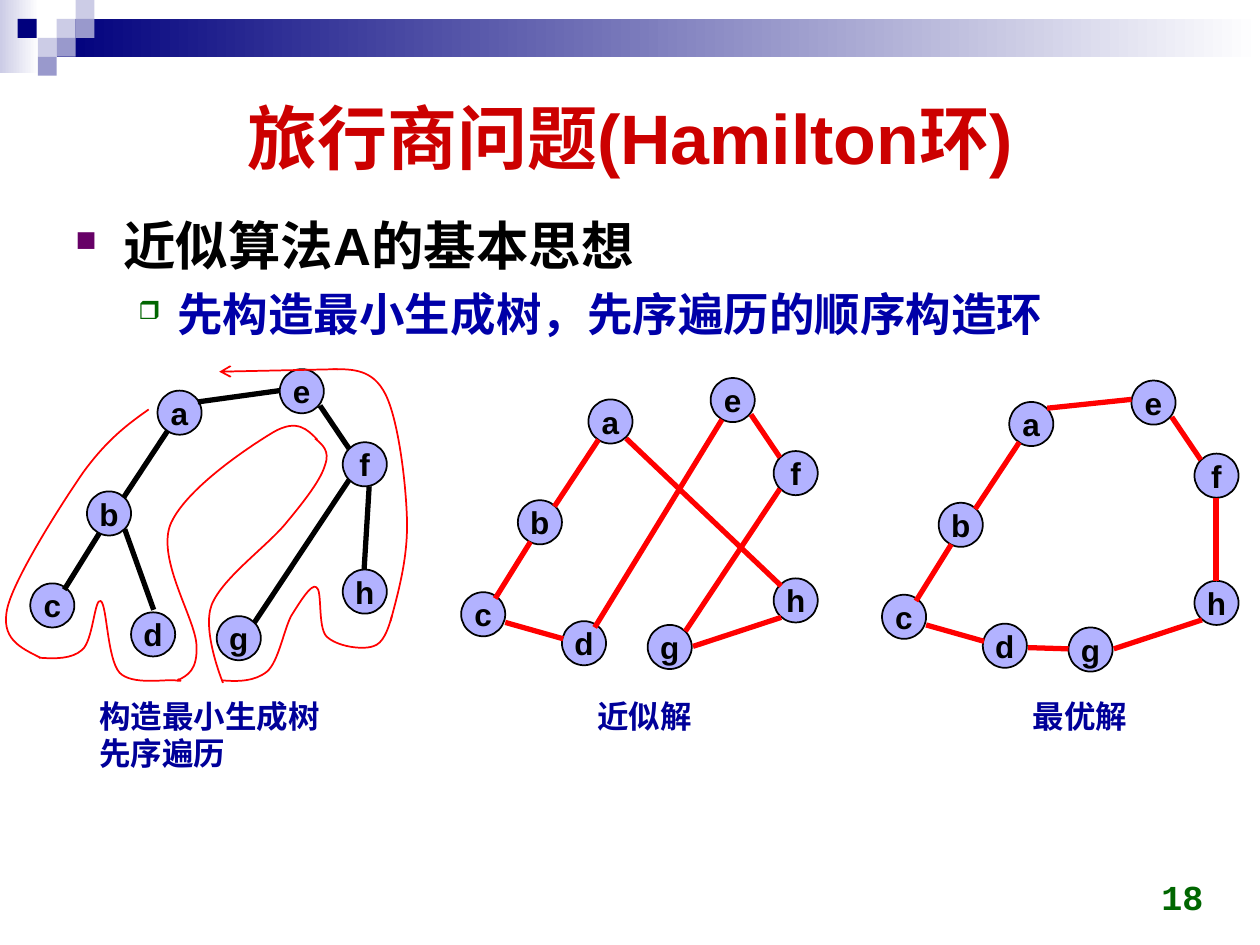
from lxml import etree
from pptx import Presentation
from pptx.dml.color import RGBColor
from pptx.enum.shapes import MSO_CONNECTOR, MSO_SHAPE
from pptx.enum.text import MSO_ANCHOR, MSO_AUTO_SIZE, PP_ALIGN
from pptx.oxml.ns import qn
from pptx.util import Inches, Pt

RECTANGLE, OVAL = MSO_SHAPE.RECTANGLE, MSO_SHAPE.OVAL
STRAIGHT = MSO_CONNECTOR.STRAIGHT
MIDDLE, BOTTOM = MSO_ANCHOR.MIDDLE, MSO_ANCHOR.BOTTOM
LEFT, CENTER, RIGHT = PP_ALIGN.LEFT, PP_ALIGN.CENTER, PP_ALIGN.RIGHT

COLORS = {
    "black": "000000", "white": "FFFFFF", "red": "FF0000", "title": "CC0000",
    "subpoint": "0000A8", "caption": "000099", "green": "006600",
    "purple": "660066", "node": "B2B2FF",
    "navy": "00007D", "mid": "9999CC", "pale": "CCCCE6",
}

# Header squares: left, top, colour
SQUARE = 0.15
HEADER_SQUARES = [
    (0.45, 0.15, "pale"), (0.6, 0, "pale"), (0.6, 0.15, "mid"),
    (0.3, 0.3, "pale"), (0.14, 0.15, "navy"), (0.45, 0.3, "mid"),
    (0.3, 0.45, "mid"),
]

# Node positions (left, top) and edge ends, in the coordinates of the first graph
NODE_SIZE = 0.35
NODES = {
    "a": (1.25, 3.1), "b": (0.69, 3.9), "c": (0.24, 4.63), "d": (1.04, 4.86),
    "e": (2.22, 2.93), "f": (2.72, 3.51), "g": (1.72, 4.89), "h": (2.72, 4.52),
}
EDGES = {
    "ab": (1.33, 3.42, 0.98, 3.95), "bc": (0.79, 4.23, 0.51, 4.68),
    "bd": (1.22, 4.84, 0.99, 4.2), "ae": (2.22, 3.1, 1.57, 3.19),
    "ef": (2.77, 3.56, 2.54, 3.22), "fg": (2.77, 3.81, 2.02, 4.94),
    "fh": (2.89, 4.52, 2.93, 3.86), "cd": (1.05, 5, 0.59, 4.87),
    "ah": (2.78, 4.58, 1.55, 3.41), "gh": (2.78, 4.83, 2.08, 5.06),
    "de": (2.31, 3.26, 1.3, 4.91), "dg": (1.72, 5.06, 1.4, 5.05),
    # The closed tour meets these nodes at slightly different points
    "ea": (2.22, 3.08, 1.55, 3.15), "hf": (2.89, 4.52, 2.89, 3.86),
}
TREE = ["ab", "bc", "bd", "ae", "ef", "fg", "fh"]
APPROXIMATE_TOUR = ["ab", "bc", "cd", "ah", "ef", "fg", "gh", "de"]
OPTIMAL_TOUR = ["ab", "bc", "cd", "hf", "ef", "ea", "gh", "dg"]

# Preorder walk: a start point, then three points for each cubic curve
WALK = [
    [(1.18, 3.25), (1.01, 3.37), (0.85, 3.49), (0.66, 3.75),
     (0.48, 4.01), (0.12, 4.58), (0.06, 4.82), (0, 5.07), (0.16, 5.14), (0.32, 5.22)],
    [(0.31, 5.22), (0.44, 5.23), (0.57, 5.23), (0.65, 5.16),
     (0.74, 5.09), (0.75, 4.74), (0.8, 4.77), (0.85, 4.8), (0.85, 5.23), (0.95, 5.34),
     (1.05, 5.44), (1.31, 5.39), (1.39, 5.4), (1.46, 5.41), (1.43, 5.4), (1.41, 5.39)],
    [(1.41, 5.4), (1.49, 5.36), (1.57, 5.32), (1.56, 5.12),
     (1.55, 4.91), (1.25, 4.45), (1.35, 4.17), (1.46, 3.89), (1.97, 3.55), (2.17, 3.43),
     (2.36, 3.32), (2.44, 3.41), (2.52, 3.49)],
    [(2.5, 3.48), (2.56, 3.53), (2.62, 3.58), (2.58, 3.69),
     (2.55, 3.8), (2.43, 3.96), (2.28, 4.14), (2.13, 4.33), (1.77, 4.58), (1.68, 4.8),
     (1.6, 5.01), (1.77, 5.42), (1.77, 5.42)],
    [(1.76, 5.4), (1.89, 5.41), (2.02, 5.41), (2.12, 5.33),
     (2.21, 5.25), (2.25, 5.01), (2.31, 4.89), (2.38, 4.78), (2.47, 4.63), (2.51, 4.66),
     (2.56, 4.68), (2.52, 4.97), (2.59, 5.05), (2.67, 5.13), (2.87, 5.16), (2.96, 5.13),
     (3.04, 5.11), (3.08, 5), (3.11, 4.89)],
    [(3.1, 4.93), (3.17, 4.67), (3.24, 4.41), (3.23, 4.11),
     (3.22, 3.81), (3.16, 3.33), (3.06, 3.13), (2.96, 2.93), (2.8, 2.93), (2.64, 2.93)],
]


def rgb(name):
    return RGBColor.from_string(COLORS[name])


def write(para, text, *, size, color, font="Arial", align=LEFT):
    para.alignment = align
    span = para.add_run()
    span.text = text
    span.font.name = font
    span.font.size = Pt(size)
    span.font.bold = True
    span.font.color.rgb = rgb(color)


def add_text_box(page, left, top, width, height, wrap=True):
    box = page.shapes.add_textbox(*map(Inches, (left, top, width, height)))
    box.text_frame.word_wrap = wrap
    return box.text_frame


def set_bullet(para, symbol, color, margin, indent):
    props = para._p.get_or_add_pPr()
    props.set("marL", str(Inches(margin)))
    props.set("indent", str(Inches(-indent)))
    bullet_color = etree.SubElement(props, qn("a:buClr"))
    etree.SubElement(bullet_color, qn("a:srgbClr"), val=COLORS[color])
    etree.SubElement(props, qn("a:buSzPct"), val="55000")
    etree.SubElement(props, qn("a:buChar"), char=symbol)


def add_shape(page, kind, left, top, width, height, color, fade=False):
    shape = page.shapes.add_shape(kind, *map(Inches, (left, top, width, height)))
    shape.shadow.inherit = False
    shape.line.fill.background()
    if fade:
        shape.fill.gradient()
        shape.fill.gradient_angle = 0
        for stop, name in zip(shape.fill.gradient_stops, (color, "white")):
            stop.color.rgb = rgb(name)
    else:
        shape.fill.solid()
        shape.fill.fore_color.rgb = rgb(color)
    return shape


def add_line(page, x1, y1, x2, y2, color, width, arrow=False):
    line = page.shapes.add_connector(STRAIGHT, *map(Inches, (x1, y1, x2, y2)))
    line.line.color.rgb = rgb(color)
    line.line.width = Pt(width)
    if arrow:
        etree.SubElement(line.line._get_or_add_ln(), qn("a:tailEnd"), type="arrow")
    etree.SubElement(line._element.spPr, qn("a:effectLst"))


def add_curve(page, points):
    start, *rest = [(Inches(x), Inches(y)) for x, y in points]
    builder = page.shapes.build_freeform(*start)
    builder.add_line_segments(rest, close=False)
    curve = builder.convert_to_shape()
    curve.shadow.inherit = False
    curve.fill.background()
    curve.line.color.rgb = rgb("red")
    curve.line.width = Pt(1)
    # Join each three straight steps into one cubic curve
    outline = next(curve._element.iter(qn("a:path")))
    steps = outline.findall(qn("a:lnTo"))
    for first in range(0, len(steps), 3):
        cubic = etree.SubElement(outline, qn("a:cubicBezTo"))
        for step in steps[first:first + 3]:
            cubic.append(step[0])
            outline.remove(step)


def add_graph(page, dx, dy, edges, color):
    for name, (left, top) in NODES.items():
        node = add_shape(page, OVAL, left + dx, top + dy, NODE_SIZE, NODE_SIZE, "node")
        node.line.color.rgb = rgb("black")
        node.line.width = Pt(1)
        frame = node.text_frame
        frame.word_wrap = False
        frame.vertical_anchor = MIDDLE
        write(frame.paragraphs[0], name, size=18, color="black", align=CENTER)
    for edge in edges:
        x1, y1, x2, y2 = EDGES[edge]
        add_line(page, x1 + dx, y1 + dy, x2 + dx, y2 + dy, color, 3)


def add_caption(page, left, width, height, lines):
    frame = add_text_box(page, left, 5.48, width, height, wrap=False)
    for number, text in enumerate(lines):
        para = frame.add_paragraph() if number else frame.paragraphs[0]
        write(para, text, size=18, color="caption")


def add_header(page):
    add_shape(page, RECTANGLE, 0, 0, 0.31, 0.58, "pale", fade=True)
    add_shape(page, RECTANGLE, 0.45, 0.15, 9.55, 0.3, "navy", fade=True)
    for left, top, color in HEADER_SQUARES:
        add_shape(page, RECTANGLE, left, top, SQUARE, SQUARE, color)


def add_title(page, text):
    title = page.shapes.title
    title.left, title.top, title.width, title.height = map(Inches, (0.5, 0.5, 9, 1.16))
    title.text_frame.auto_size = MSO_AUTO_SIZE.NONE
    title.text_frame.vertical_anchor = MIDDLE
    write(title.text_frame.paragraphs[0], text, size=40, color="title", align=CENTER)


def add_points(page):
    frame = add_text_box(page, 0.5, 1.62, 9, 5.2)
    point, subpoint = frame.paragraphs[0], frame.add_paragraph()
    subpoint.level = 1
    for para, before in ((point, 4.5), (subpoint, 4)):
        para.line_spacing = 1.05
        para.space_before = Pt(before)
    set_bullet(point, "■", "purple", 0.38, 0.38)
    set_bullet(subpoint, "❒", "green", 0.81, 0.31)
    write(point, "近似算法A的基本思想", size=30, color="black")
    write(subpoint, "先构造最小生成树，先序遍历的顺序构造环", size=26, color="subpoint")


def main():
    deck = Presentation()
    deck.slide_width, deck.slide_height = Inches(10), Inches(7.5)
    page = deck.slides.add_slide(deck.slide_layouts[5])

    add_header(page)
    add_title(page, "旅行商问题(Hamilton环)")
    add_points(page)

    # Page number
    number = add_text_box(page, 7.32, 6.83, 2.33, 0.5)
    number.vertical_anchor = BOTTOM
    write(number.paragraphs[0], "18", size=20, color="green", font="Courier New", align=RIGHT)

    # Spanning tree with its preorder walk
    add_graph(page, 0, 0, TREE, "black")
    for points in WALK:
        add_curve(page, points)
    add_line(page, 2.68, 2.93, 1.74, 2.95, "red", 1, arrow=True)

    # Tours
    add_graph(page, 3.42, 0.07, APPROXIMATE_TOUR, "red")
    add_graph(page, 6.76, 0.09, OPTIMAL_TOUR, "red")

    add_caption(page, 8.1, 0.96, 0.4, ["最优解"])
    add_caption(page, 4.64, 0.96, 0.4, ["近似解"])
    add_caption(page, 0.69, 1.98, 0.71, ["构造最小生成树", "先序遍历"])
    deck.save("out.pptx")


if __name__ == "__main__":
    main()
